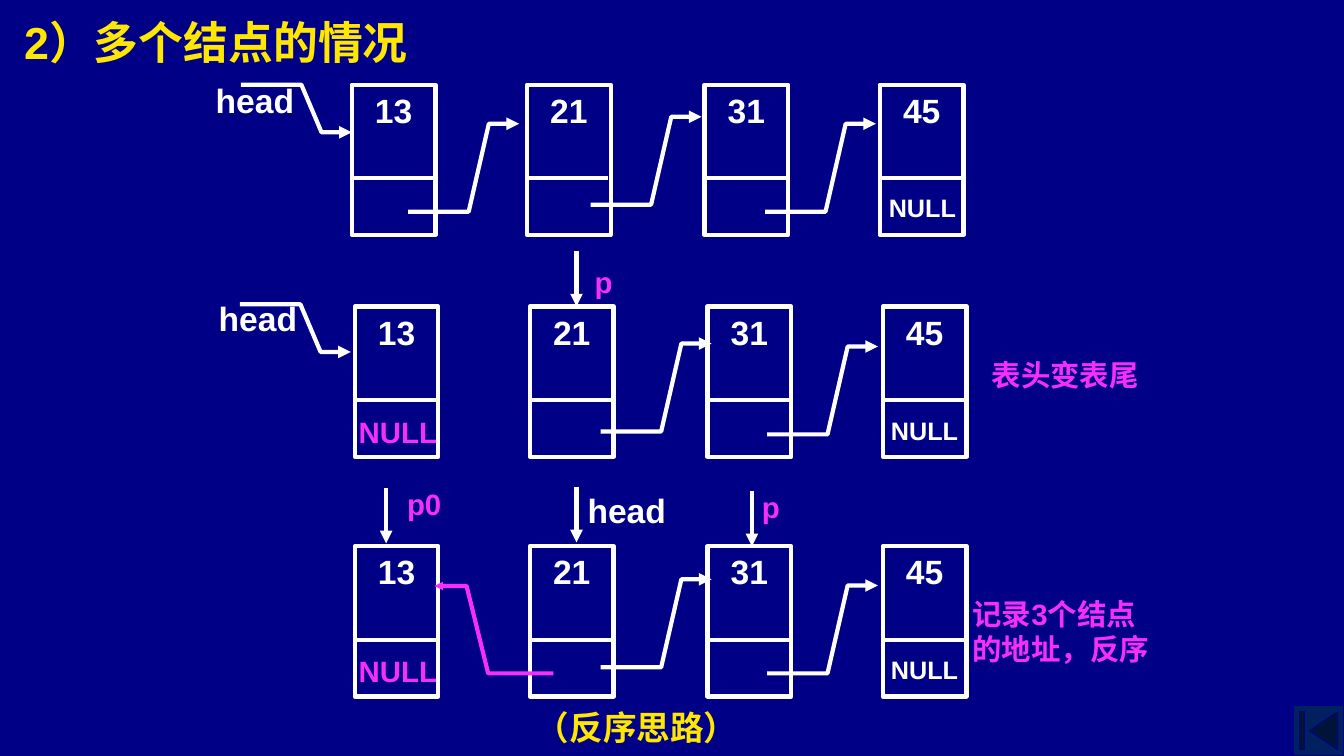
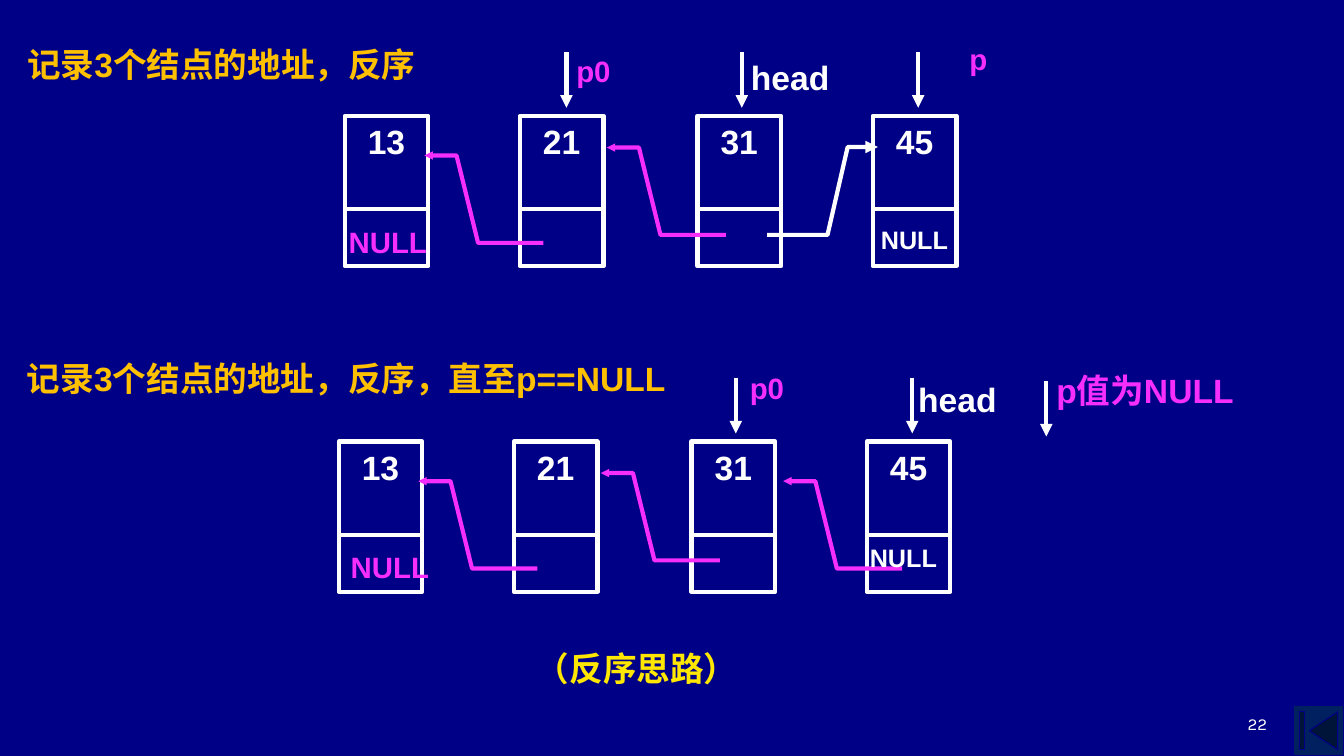
import dataclasses
import pptx
import pptx.dml.color
import pptx.enum.shapes
import pptx.enum.text
import pptx.oxml.ns
import pptx.oxml.xmlchemy
import pptx.util

Pt = pptx.util.Pt
Kind = pptx.enum.shapes.MSO_SHAPE
Text = pptx.enum.text
qn = pptx.oxml.ns.qn


@dataclasses.dataclass(frozen=True)
class Theme:
    back: str = "000086"
    button: str = "002060"
    white: str = "FFFFFF"
    pink: str = "F52EFC"
    yellow: str = "FFE701"
    gold: str = "FFC000"
    font: str = "Arial"
    small: str = "Karla"
    stroke: float = 3
    title: int = 32
    head: int = 24
    mark: int = 21
    null: int = 18
    page: int = 12


T = Theme()
# style: size, colour, box height, side inset, top inset
STYLES = {
    "title": (T.title, T.yellow, 46, 7.2, 3.6),
    "note": (T.head, T.gold, 37, 7.2, 3.6),
    "caption": (T.head, T.yellow, 37, 7.2, 3.6),
    "name": (T.head, T.white, 36, 0.7, 0.7),
    "mark": (T.mark, T.pink, 32, 7.2, 3.6),
    "big": (T.head, T.pink, 36, 7.2, 3.6),
    "null": (T.null, T.white, 29, 7.2, 3.6),
}
# link: bends from its start, colour, arrowhead size
LINKS = {
    "head": ([(43.2, 0), (57.6, 34), (79.2, 34)], T.white, "med"),
    "next": ([(43.2, 0), (57.6, -62.8), (79.2, -62.8)], T.white, "med"),
    "back": ([(-46.6, 0), (-62, -62.4), (-85, -62.4)], T.pink, "sm"),
}
VALUES = ["13", "21", "31", "45"]
STEPS = [0, 125.1, 252, 377.2]
NODE = (59.8, 107.3)
SPLIT = (58, 66.7)
DROP = 39.6

SLIDES = [
    dict(
        title=("title", "2）多个结点的情况", 10.1, 7.2, 555),
        rows=[(251.3, 60.5), (253.4, 218.9), (253.4, 390.2)],
        links=[
            ("head", 172.1, 60.5), ("next", 291.6, 151.2),
            ("next", 421.9, 146.2), ("next", 546.5, 151.2),
            ("head", 171.4, 217.4), ("next", 429.1, 308.2),
            ("next", 547.9, 310.3),
            ("back", 395.3, 481), ("next", 429.1, 476.6),
            ("next", 547.9, 481),
        ],
        drops=[(411.8, 179.3), (275.8, 348.5), (411.8, 347.8), (537.1, 350.6)],
        labels=[
            ("name", "head", 153.4, 56.2, 60.5),
            ("null", "NULL", 627.8, 133.9, 73.4),
            ("name", "head", 155.5, 212.4, 60.5),
            ("mark", "p", 417.6, 185, 47),
            ("mark", "NULL", 249.1, 292.3, 73.4),
            ("null", "NULL", 629.3, 293, 73.4),
            ("mark", "表头变表尾", 701.3, 251.3, 129),
            ("mark", "p0", 283.7, 343.4, 47),
            ("name", "head", 419, 349.2, 60.5),
            ("mark", "p", 537.1, 345.6, 47),
            ("mark", "NULL", 249.1, 463, 73.4),
            ("null", "NULL", 629.3, 463.7, 73.4),
            ("mark", "记录3个结点的地址，反序", 687.6, 421.9, 141.8),
            ("caption", "（反序思路）", 375.8, 501.1, 175),
        ],
    ),
    dict(
        title=("note", "记录3个结点的地址，反序", 12.2, 28.1, 309),
        rows=[(246.2, 82.8), (241.9, 315.4)],
        links=[
            ("back", 388.1, 173.5), ("back", 518.4, 167.8),
            ("next", 547.9, 167.8),
            ("back", 383.8, 406.1), ("back", 514.1, 400.3),
            ("back", 644.4, 406.1),
        ],
        drops=[(404.6, 37.4), (529.9, 37.4), (655.9, 37.4),
               (525.6, 270), (651.6, 270), (747.4, 272.2)],
        labels=[
            ("mark", "NULL", 241.9, 156.2, 73.4),
            ("null", "NULL", 622.1, 157, 73.4),
            ("mark", "p0", 404.6, 34.6, 47),
            ("name", "head", 535.7, 39.6, 60.5),
            ("mark", "p", 685.4, 25.9, 47),
            ("note", "记录3个结点的地址，反序，直至p==NULL", 12.2, 252, 533.5),
            ("mark", "NULL", 243.4, 388.8, 73.4),
            ("null", "NULL", 614.2, 383.8, 73.4),
            ("mark", "p0", 528.5, 260.6, 47),
            ("name", "head", 655.2, 270, 60.5),
            ("big", "p值为NULL", 747.4, 260.6, 152.6),
            ("caption", "（反序思路）", 375.8, 459.4, 175),
        ],
        page="22",
    ),
]


def rgb(code):
    return pptx.dml.color.RGBColor.from_string(code)


def pts(*nums):
    return [Pt(n) for n in nums]


def write(shape, text, size, color, align=Text.PP_ALIGN.LEFT, font=T.font, bold=True):
    frame = shape.text_frame
    frame.word_wrap = True
    frame.auto_size = Text.MSO_AUTO_SIZE.NONE
    frame.vertical_anchor = Text.MSO_ANCHOR.TOP
    frame.text = text
    para = frame.paragraphs[0]
    para.alignment = align
    para.font.name, para.font.size, para.font.bold = font, Pt(size), bold
    para.font.color.rgb = rgb(color)
    return frame


def label(shape, style, text, x, y, wide):
    """Place and fill a text box or a title placeholder."""
    size, color, high, side, top = STYLES[style]
    shape.left, shape.top, shape.width, shape.height = pts(x, y, wide, high)
    frame = write(shape, text, size, color)
    frame.margin_left = frame.margin_right = Pt(side)
    frame.margin_top = frame.margin_bottom = Pt(top)


def stroke(shape, color, tip=None):
    """Set the outline, with an arrowhead of size tip at its end."""
    shape.line.color.rgb = rgb(color)
    shape.line.width = Pt(T.stroke)
    if tip:
        end = pptx.oxml.xmlchemy.OxmlElement("a:tailEnd")
        for key, val in (("type", "triangle"), ("w", tip), ("len", tip)):
            end.set(key, val)
        shape.element.spPr.find(qn("a:ln")).append(end)


def line(shapes, x, y, across, down, tip=None):
    rule = shapes.add_connector(
        pptx.enum.shapes.MSO_CONNECTOR.STRAIGHT, *pts(x, y, x + across, y + down))
    stroke(rule, T.white, tip)
    rule.element.spPr.append(pptx.oxml.xmlchemy.OxmlElement("a:effectLst"))


def node(slide, value, x, y):
    group = slide.shapes.add_group_shape().shapes
    box = group.add_shape(Kind.RECTANGLE, *pts(x, y, *NODE))
    box.shadow.inherit = False
    box.fill.background()
    stroke(box, T.white)
    write(box, value, T.head, T.white, Text.PP_ALIGN.CENTER)
    wide, down = SPLIT
    line(group, x, y + down, wide, 0)


def link(slide, kind, x, y):
    bends, color, tip = LINKS[kind]
    path = slide.shapes.build_freeform(*pts(x, y), scale=1.0)
    path.add_line_segments([pts(x + dx, y + dy) for dx, dy in bends], close=False)
    shape = path.convert_to_shape()
    shape.shadow.inherit = False
    shape.fill.background()
    stroke(shape, color, tip)


def build(slide, data):
    label(slide.shapes.title, *data["title"])
    for left, top in data["rows"]:
        for value, step in zip(VALUES, STEPS):
            node(slide, value, left + step, top)
    for item in data["links"]:
        link(slide, *item)
    for x, y in data["drops"]:
        line(slide.shapes, x, y, 0, DROP, "med")
    for item in data["labels"]:
        label(slide.shapes.add_textbox(0, 0, 0, 0), *item)
    if "page" in data:
        box = slide.shapes.add_textbox(*pts(688.3, 491.8, 223.9, 36))
        frame = write(box, data["page"], T.page, T.white,
                      Text.PP_ALIGN.RIGHT, T.small, False)
        frame.vertical_anchor = Text.MSO_ANCHOR.BOTTOM


def dress(deck, layout, slide):
    """Give the master its background and the layout its corner button."""
    fill = deck.slide_master.background.fill
    fill.solid()
    fill.fore_color.rgb = rgb(T.back)
    button = slide.shapes.add_shape(
        Kind.ACTION_BUTTON_BEGINNING, *pts(924, 504, 36, 36))
    button.shadow.inherit = False
    button.fill.solid()
    button.fill.fore_color.rgb = rgb(T.button)
    button.line.color.rgb = rgb(T.back)
    button.line.width = Pt(0.75)
    layout.shapes.element.append(button.element)


def main():
    deck = pptx.Presentation()
    deck.slide_width, deck.slide_height = pts(960, 540)
    layout = deck.slide_layouts.get_by_name("Title Only")
    slides = [deck.slides.add_slide(layout) for _ in SLIDES]
    dress(deck, layout, slides[0])
    for slide, data in zip(slides, SLIDES):
        build(slide, data)
    deck.save("out.pptx")


if __name__ == "__main__":
    main()
